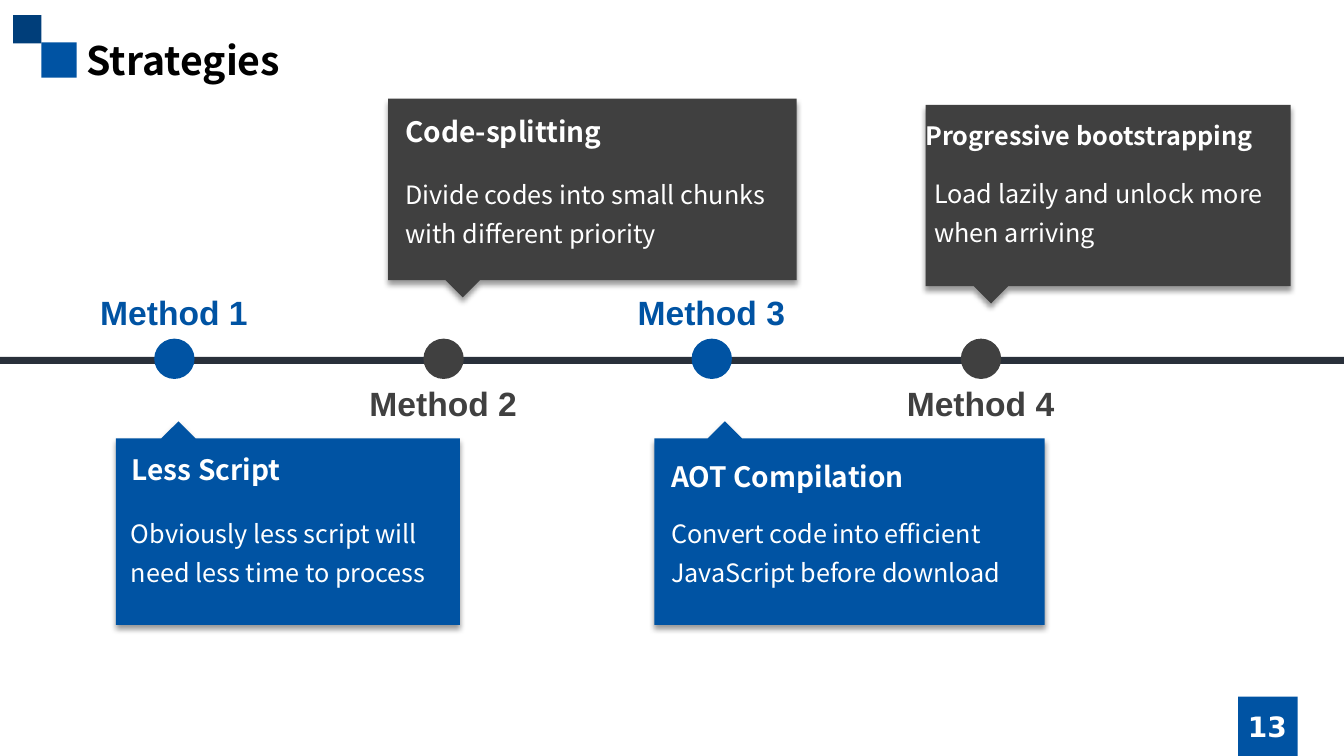
from dataclasses import dataclass

from lxml.etree import SubElement
from pptx import Presentation
from pptx.dml.color import RGBColor
from pptx.enum.shapes import MSO_SHAPE
from pptx.enum.text import MSO_ANCHOR, MSO_AUTO_SIZE, PP_ALIGN
from pptx.oxml.ns import qn
from pptx.util import Emu, Pt

PX = 9144
BLUE, NAVY, GRAY, LINE = "0053A3", "003E7A", "404040", "29303A"
WHITE, BLACK = "FFFFFF", "000000"
SANS = "Noto Sans CJK SC"
POINTER = 17


@dataclass
class Callout:
    """One method's box: its outline, its pointer and its two texts."""
    left: int
    right: int
    near: int
    far: int
    tip: int
    heading: str
    heading_at: tuple
    heading_size: int
    body: str
    body_box: tuple


CALLOUTS = [
    Callout(115, 456, 435, 620, 177, "Less Script", (121, 444), 20,
            "Obviously less script will need less time to process", (120, 500, 335, 90)),
    Callout(385, 790, 278, 98, 459, "Code-splitting", (392, 109), 20,
            "Divide codes into small chunks with different priority", (392, 164, 404, 113)),
    Callout(649, 1036, 435, 620, 719, "AOT Compilation", (656, 451), 20,
            "Convert code into efficient JavaScript before download", (656, 500, 390, 89)),
    Callout(918, 1280, 284, 104, 983, "Progressive bootstrapping", (908, 114), 18,
            "Load lazily and unlock more when arriving", (917, 163, 382, 89)),
]


def color(hex_value):
    """Return the colour for a hex string."""
    return RGBColor.from_string(hex_value)


def lengths(*pixels):
    """Turn pixels into EMU."""
    return [Emu(pixel * PX) for pixel in pixels]


def paint(shape, fill):
    """Give a shape a plain fill with no line and no shadow."""
    shape.fill.solid()
    shape.fill.fore_color.rgb = color(fill)
    shape.line.fill.background()
    shape.shadow.inherit = False


def add_block(shapes, kind, box, fill):
    """Add a plain preset shape."""
    paint(shapes.add_shape(kind, *lengths(*box)), fill)


def write(frame, text, size, ink, font=SANS, bold=True, align=PP_ALIGN.LEFT,
          anchor=MSO_ANCHOR.TOP, spacing=None):
    """Write one formatted paragraph into a text frame."""
    frame.word_wrap = True
    frame.auto_size = MSO_AUTO_SIZE.NONE
    frame.vertical_anchor = anchor
    paragraph = frame.paragraphs[0]
    paragraph.alignment = align
    if spacing:
        paragraph.line_spacing = spacing
    run = paragraph.add_run()
    run.text = text
    run.font.size = Pt(size)
    run.font.name = font
    run.font.bold = bold
    run.font.color.rgb = color(ink)
    properties = run.font._element
    SubElement(properties, qn("a:ea")).set("typeface", font)


def add_text(shapes, box, text, size, ink, **style):
    """Add a text box."""
    write(shapes.add_textbox(*lengths(*box)).text_frame, text, size, ink, **style)


def add_drop_shadow(shape):
    """Cast a soft shadow straight down."""
    effects = shape._element.spPr.find(qn("a:effectLst"))
    shadow = SubElement(effects, qn("a:outerShdw"), blurRad=str(Pt(4)), dist=str(Pt(3)),
                        dir="5400000", algn="t", rotWithShape="0")
    ink = SubElement(shadow, qn("a:srgbClr"), val=BLACK)
    SubElement(ink, qn("a:alpha"), val="40000")


def add_callout(slide, callout, fill):
    """Add a grouped callout whose pointer faces the timeline."""
    shapes = slide.shapes.add_group_shape().shapes
    near, far, tip = callout.near, callout.far, callout.tip
    tip_y = near - POINTER if near < far else near + POINTER
    outline = shapes.build_freeform(tip, tip_y, scale=PX)
    outline.add_line_segments([
        (tip + POINTER, near), (callout.right, near), (callout.right, far),
        (callout.left, far), (callout.left, near), (tip - POINTER, near)])
    balloon = outline.convert_to_shape()
    paint(balloon, fill)
    add_drop_shadow(balloon)
    add_text(shapes, callout.body_box, callout.body, 18, WHITE, bold=False, spacing=1.3)
    add_text(shapes, (*callout.heading_at, callout.body_box[2], 45), callout.heading,
             callout.heading_size, WHITE)


def add_frame(slide):
    """Add the corner squares, the title and the page number."""
    for box, fill in [((41, 42, 35, 35), BLUE), ((13, 15, 28, 28), NAVY),
                      ((1228, 691, 59, 59), BLUE)]:
        add_block(slide.shapes, MSO_SHAPE.RECTANGLE, box, fill)
    title = slide.shapes.title
    title.left, title.top, title.width, title.height = lengths(76, 31, 1181, 57)
    write(title.text_frame, "Strategies", 28, BLACK)
    add_text(slide.shapes, (1181, 701, 152, 40), "13", 20, WHITE, font="DejaVu Sans",
             align=PP_ALIGN.CENTER, anchor=MSO_ANCHOR.MIDDLE)


def add_method(slide, index, callout):
    """Add a timeline dot with its label and callout."""
    below = index % 2
    fill = GRAY if below else BLUE
    center = 173 + round(index * 800 / 3)
    add_block(slide.shapes, MSO_SHAPE.OVAL, (center - 20, 336, 40, 40), fill)
    add_text(slide.shapes, (center - 93, 375 if below else 285, 185, 50),
             f"Method {index + 1}", 24, fill, font="Arial", align=PP_ALIGN.CENTER)
    add_callout(slide, callout, fill)


def main():
    """Build the slide and save it."""
    deck = Presentation()
    deck.slide_width, deck.slide_height = lengths(1333, 750)
    slide = deck.slides.add_slide(deck.slide_layouts.get_by_name("Title Only"))
    add_frame(slide)
    add_block(slide.shapes, MSO_SHAPE.RECTANGLE, (0, 354, 1333, 7), LINE)
    for index, callout in enumerate(CALLOUTS):
        add_method(slide, index, callout)
    deck.save("out.pptx")


if __name__ == "__main__":
    main()
